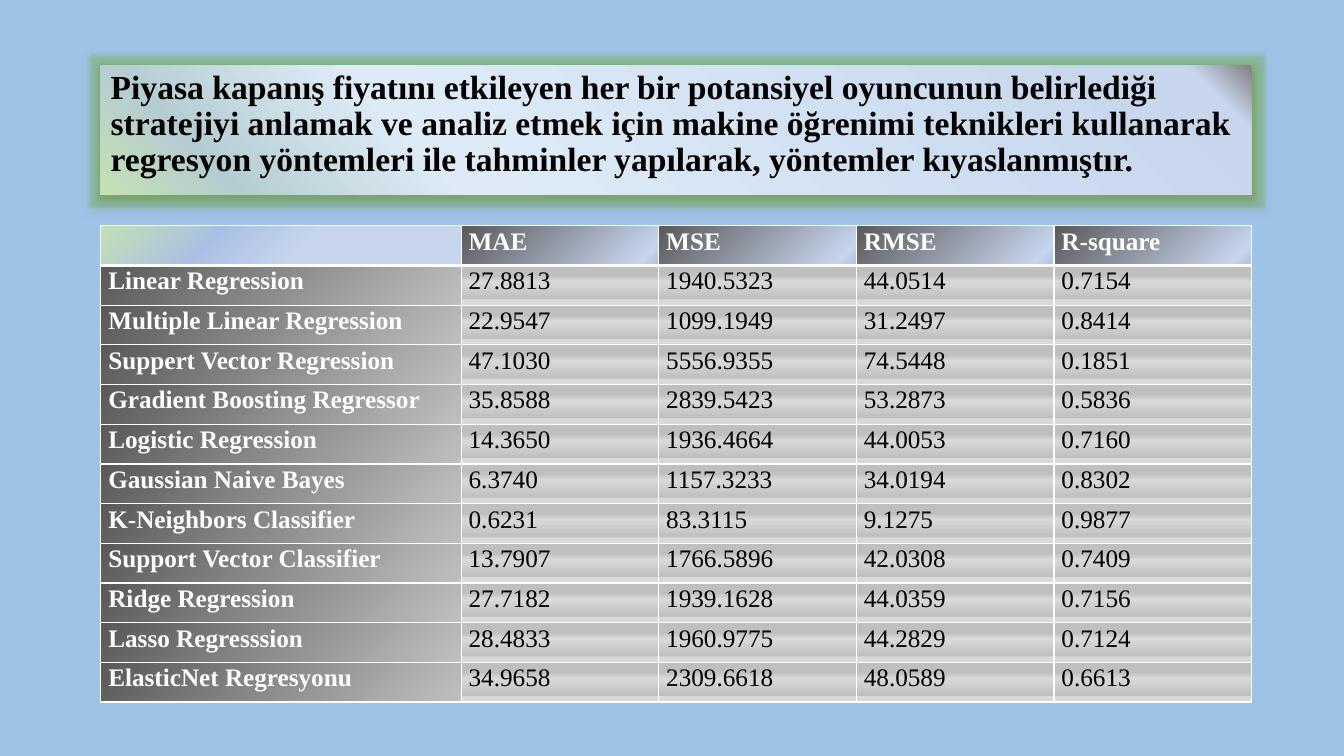
from pptx import Presentation, oxml
from pptx import util as u
from pptx.dml.color import RGBColor
from pptx.enum import shapes, text
from pptx.oxml.ns import nsdecls, qn

SKY = RGBColor(0x9D, 0xC3, 0xE6)
LIME = RGBColor(0xC5, 0xE0, 0xB4)
TEAL = RGBColor(0xB5, 0xCD, 0xD1)
ICE = RGBColor(0xDE, 0xEB, 0xF7)
MIST = RGBColor(0xC7, 0xD5, 0xED)
BLUE = RGBColor(0xAB, 0xC0, 0xE4)
GREEN = RGBColor(0x70, 0xAD, 0x47)
GRAY = RGBColor(0x80, 0x80, 0x80)
DARK = RGBColor(0x59, 0x59, 0x59)
MID = RGBColor(0xBF, 0xBF, 0xBF)
PALE = RGBColor(0xD9, 0xD9, 0xD9)
WHITE = RGBColor(0xFF, 0xFF, 0xFF)
BLACK = RGBColor(0, 0, 0)
FONT = "Times New Roman"

LEFT = '<a:path path="circle"><a:fillToRect t="100000" r="100000"/></a:path>'
RIGHT = '<a:path path="circle"><a:fillToRect l="100000" t="100000"/></a:path>'
DOWN = '<a:lin ang="5400000" scaled="0"/>'

BANNER = [(0, LIME), (11, TEAL), (29, ICE), (95, MIST), (100, GRAY)], LEFT
CORNER = [(43, MIST), (69, BLUE), (100, LIME)], RIGHT
HEAD = [(0, BLUE), (9, MIST), (100, DARK)], RIGHT
NAME = [(0, MID), (100, DARK)], RIGHT
VALUE = [(25, MID), (41, PALE), (84, MID), (86, PALE)], DOWN

TITLE = ("Piyasa kapanış fiyatını etkileyen her bir potansiyel oyuncunun "
         "belirlediği stratejiyi anlamak ve analiz etmek için makine öğrenimi "
         "teknikleri kullanarak regresyon yöntemleri ile tahminler yapılarak, "
         "yöntemler kıyaslanmıştır.")
ROWS = [
    ("", "MAE", "MSE", "RMSE", "R-square"),
    ("Linear Regression", "27.8813", "1940.5323", "44.0514", "0.7154"),
    ("Multiple Linear Regression", "22.9547", "1099.1949", "31.2497", "0.8414"),
    ("Suppert Vector Regression", "47.1030", "5556.9355", "74.5448", "0.1851"),
    ("Gradient Boosting Regressor", "35.8588", "2839.5423", "53.2873", "0.5836"),
    ("Logistic Regression", "14.3650", "1936.4664", "44.0053", "0.7160"),
    ("Gaussian Naive Bayes", "6.3740", "1157.3233", "34.0194", "0.8302"),
    ("K-Neighbors Classifier", "0.6231", "83.3115", "9.1275", "0.9877"),
    ("Support Vector Classifier", "13.7907", "1766.5896", "42.0308", "0.7409"),
    ("Ridge Regression", "27.7182", "1939.1628", "44.0359", "0.7156"),
    ("Lasso Regresssion", "28.4833", "1960.9775", "44.2829", "0.7124"),
    ("ElasticNet Regresyonu", "34.9658", "2309.6618", "48.0589", "0.6613"),
]


def paint(item, props, look):
    stops, shade = look
    marks = "".join(f'<a:gs pos="{pos * 1000}"><a:srgbClr val="{tint}"/></a:gs>'
                    for pos, tint in stops)
    item.fill.background()
    props.replace(props.find(qn("a:noFill")), oxml.parse_xml(
        f'<a:gradFill {nsdecls("a")} rotWithShape="1">'
        f'<a:gsLst>{marks}</a:gsLst>{shade}</a:gradFill>'))


def write(para, words, size, tint, bold):
    run = para.add_run()
    run.text = words
    run.font.name = FONT
    run.font.size = u.Pt(size)
    run.font.bold = bold
    run.font.color.rgb = tint


deck = Presentation()
deck.slide_width = u.Cm(33.87)
deck.slide_height = u.Cm(19.05)
slide = deck.slides.add_slide(deck.slide_layouts[6])
slide.background.fill.solid()
slide.background.fill.fore_color.rgb = SKY

box = slide.shapes.add_shape(shapes.MSO_SHAPE.RECTANGLE, u.Cm(2.54), u.Cm(1.65),
                             u.Cm(29), u.Cm(3.25))
box.line.fill.background()
box.shadow.inherit = False
props = box._element.spPr
paint(box, props, BANNER)
glow = props.find(qn("a:effectLst"))
glow.append(oxml.parse_xml(
    f'<a:glow {nsdecls("a")} rad="{u.Pt(5)}"><a:srgbClr val="{GREEN}">'
    '<a:alpha val="40000"/></a:srgbClr></a:glow>'))
glow.append(oxml.parse_xml(
    f'<a:outerShdw {nsdecls("a")} blurRad="{u.Pt(4)}" dist="{u.Pt(4)}" dir="5400000">'
    f'<a:srgbClr val="{GRAY}"><a:alpha val="62000"/></a:srgbClr></a:outerShdw>'))
frame = box.text_frame
frame.word_wrap = True
frame.vertical_anchor = text.MSO_ANCHOR.TOP
para = frame.paragraphs[0]
para.alignment = text.PP_ALIGN.LEFT
para.line_spacing = 0.9
para.space_before = u.Pt(10)
write(para, TITLE, 24, BLACK, True)

table = slide.shapes.add_table(len(ROWS), len(ROWS[0]), u.Cm(2.54), u.Cm(5.69),
                               u.Cm(29), u.Cm(12)).table
table.first_row = False
table.horz_banding = False
for col, width in zip(table.columns, [9.08] + [4.98] * 4):
    col.width = u.Cm(width)

for i, row in enumerate(ROWS):
    table.rows[i].height = u.Cm(1)
    for j, words in enumerate(row):
        cell = table.cell(i, j)
        cell.margin_left = cell.margin_right = u.Cm(0.19)
        cell.margin_top = cell.margin_bottom = 0
        label = i == 0 or j == 0
        if i == 0:
            look = HEAD if j else CORNER
        else:
            look = VALUE if j else NAME
        props = cell._tc.get_or_add_tcPr()
        paint(cell, props, look)
        edges = {"lnL": 1, "lnR": 1, "lnT": 3 if i == 1 else 1, "lnB": 1 if i else 3}
        for k, (edge, size) in enumerate(edges.items()):
            props.insert(k, oxml.parse_xml(
                f'<a:{edge} {nsdecls("a")} w="{u.Pt(size)}"><a:solidFill>'
                f'<a:srgbClr val="{WHITE}"/></a:solidFill></a:{edge}>'))
        para = cell.text_frame.paragraphs[0]
        para.line_spacing = 1.07
        para.space_after = u.Pt(8)
        if words:
            write(para, words, 18, WHITE if label else BLACK, label)

deck.save("out.pptx")
